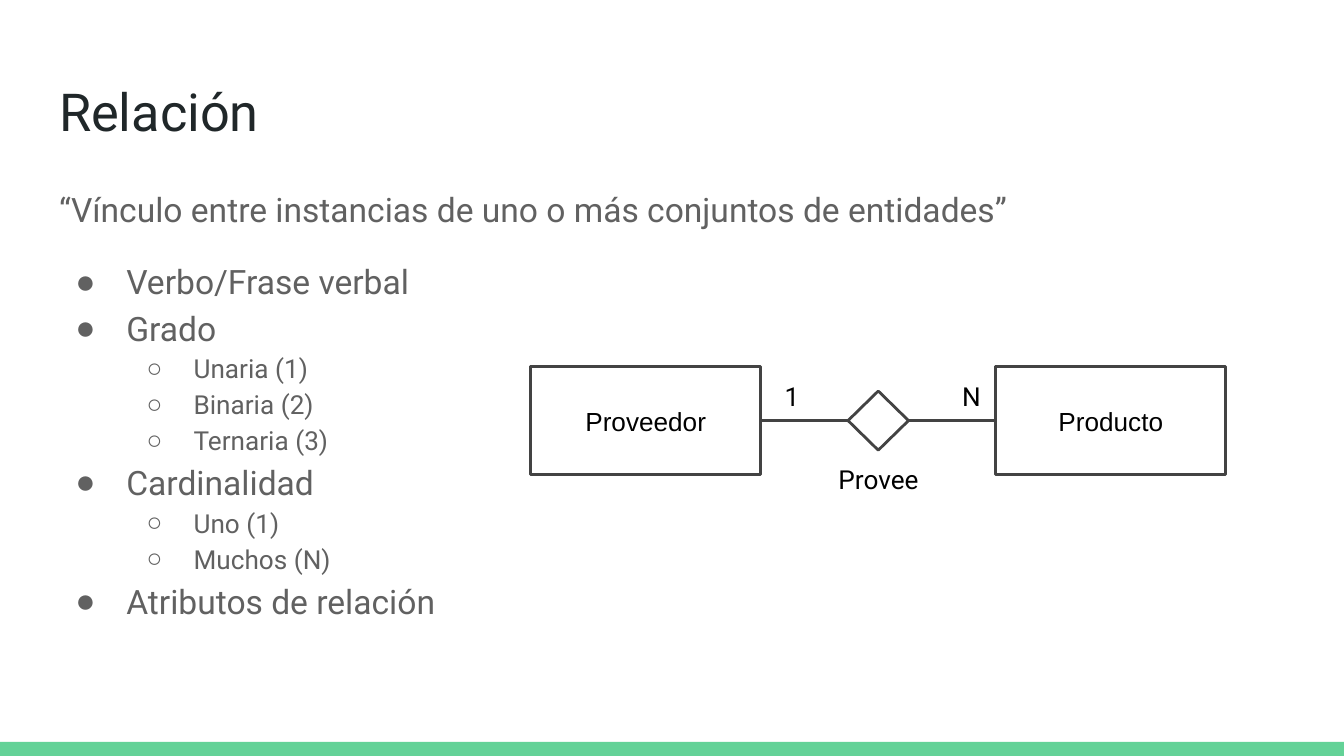
from dataclasses import dataclass

from lxml.etree import SubElement
from pptx import Presentation
from pptx.dml.color import RGBColor
from pptx.enum.shapes import MSO_CONNECTOR as CONN, MSO_SHAPE as SHAPE
from pptx.enum.text import MSO_ANCHOR as ANCHOR, MSO_AUTO_SIZE as AUTO, PP_ALIGN as ALIGN
from pptx.oxml.ns import qn
from pptx.util import Inches, Pt


@dataclass(frozen=True)
class Theme:
    """Fonts, type sizes and colours of the slide."""
    font: str = "Roboto"
    plain_font: str = "Arial"
    title_size: int = 28
    body_size: int = 18
    small_size: int = 14
    title: str = "202729"
    body: str = "616161"
    label: str = "000000"
    line: str = "434343"
    accent: str = "63D297"


THEME = Theme()
SLIDE_W, SLIDE_H = 10, 10 * 9 / 16
LEVELS = [("●", 0.5, -0.38, THEME.body_size), ("○", 1, -0.35, THEME.small_size)]
TOPICS = [
    ("Verbo/Frase verbal", 0),
    ("Grado", 0),
    ("Unaria (1)", 1),
    ("Binaria (2)", 1),
    ("Ternaria (3)", 1),
    ("Cardinalidad", 0),
    ("Uno (1)", 1),
    ("Muchos (N)", 1),
    ("Atributos de relación", 0),
]
BOX_TOP, BOX_W, BOX_H = 2.73, 1.71, 0.8
LEFT_BOX, RIGHT_BOX = 3.95, 7.41
DIAMOND_W, DIAMOND_H = 0.45, 0.44


def rgb(value):
    """Return a colour from its hexadecimal form."""
    return RGBColor.from_string(value)


def write(p, text, size=THEME.small_size, color=THEME.label, font=THEME.font,
          align=ALIGN.LEFT, spacing=1.0, after=0):
    """Fill a paragraph with one formatted run."""
    p.alignment, p.line_spacing = align, spacing
    p.space_before, p.space_after = Pt(0), Pt(after)
    r = p.add_run()
    r.text = text
    r.font.size, r.font.name = Pt(size), font
    r.font.color.rgb = rgb(color)


def set_frame(sp, anchor=ANCHOR.TOP):
    """Give a shape's text even insets, wrapping and an anchor."""
    tf = sp.text_frame
    tf.margin_left = tf.margin_right = tf.margin_top = tf.margin_bottom = Inches(0.1)
    tf.word_wrap, tf.auto_size, tf.vertical_anchor = True, AUTO.NONE, anchor
    return tf


def place(sp, left, top, width, height):
    """Move a placeholder and return its prepared text frame."""
    sp.left, sp.top = Inches(left), Inches(top)
    sp.width, sp.height = Inches(width), Inches(height)
    return set_frame(sp)


def set_bullet(p, char=None, margin=0, indent=0):
    """Set the indents and the bullet character, or no bullet."""
    pPr = p._p.get_or_add_pPr()
    pPr.set("marL", str(Inches(margin)))
    pPr.set("indent", str(Inches(indent)))
    if char is None:
        SubElement(pPr, qn("a:buNone"))
        return
    SubElement(SubElement(pPr, qn("a:buClr")), qn("a:srgbClr"), val=THEME.body)
    SubElement(pPr, qn("a:buFont"), typeface=THEME.plain_font)
    SubElement(pPr, qn("a:buChar"), char=char)


def add_list(tf, items):
    """Write a two-level bulleted list."""
    for i, (text, level) in enumerate(items):
        p = tf.paragraphs[0] if i == 0 else tf.add_paragraph()
        char, margin, indent, size = LEVELS[level]
        p.level = level
        write(p, text, size=size, color=THEME.body, spacing=1.15)
        set_bullet(p, char, margin, indent)


def add_shape(shapes, kind, left, top, width, height, text="", fill=None, line=THEME.line):
    """Add a filled or outlined shape with an optional centred text."""
    sp = shapes.add_shape(kind, Inches(left), Inches(top), Inches(width), Inches(height))
    sp.shadow.inherit = False
    if fill:
        sp.fill.solid()
        sp.fill.fore_color.rgb = rgb(fill)
    else:
        sp.fill.background()
    if line:
        sp.line.color.rgb, sp.line.width = rgb(line), Pt(1.5)
    else:
        sp.line.fill.background()
    if text:
        tf = set_frame(sp, ANCHOR.MIDDLE)
        write(tf.paragraphs[0], text, font=THEME.plain_font, align=ALIGN.CENTER)


def add_link(shapes, start, end, y):
    """Add a horizontal line between two positions."""
    s = shapes.add_connector(CONN.STRAIGHT, Inches(start), Inches(y), Inches(end), Inches(y))
    s.line.color.rgb, s.line.width = rgb(THEME.line), Pt(1.5)
    SubElement(s._element.spPr, qn("a:effectLst"))


def add_label(shapes, text, left, top):
    """Add a free label of the diagram."""
    sp = shapes.add_textbox(Inches(left), Inches(top), Inches(1.2), Inches(0.72))
    write(set_frame(sp).paragraphs[0], text)


def add_diagram(shapes):
    """Draw the two entities joined by their relationship."""
    mid_x = (LEFT_BOX + BOX_W + RIGHT_BOX) / 2
    mid_y = BOX_TOP + BOX_H / 2
    diamond_left = mid_x - DIAMOND_W / 2
    for text, left in (("Proveedor", LEFT_BOX), ("Producto", RIGHT_BOX)):
        add_shape(shapes, SHAPE.RECTANGLE, left, BOX_TOP, BOX_W, BOX_H, text)
    add_shape(shapes, SHAPE.DIAMOND, diamond_left, mid_y - DIAMOND_H / 2, DIAMOND_W, DIAMOND_H)
    add_link(shapes, diamond_left, LEFT_BOX + BOX_W, mid_y)
    add_link(shapes, diamond_left + DIAMOND_W, RIGHT_BOX, mid_y)
    add_label(shapes, "Provee", 6.14, 3.35)
    add_label(shapes, "1", 5.74, BOX_TOP)
    add_label(shapes, "N", 7.06, BOX_TOP)


def main():
    """Build and save the slide."""
    prs = Presentation()
    prs.slide_width, prs.slide_height = Inches(SLIDE_W), Inches(SLIDE_H)
    slide = prs.slides.add_slide(prs.slide_layouts.get_by_name("Two Content"))
    title, quote, topics = slide.placeholders
    add_shape(slide.shapes, SHAPE.RECTANGLE, 0, 5.52, SLIDE_W, SLIDE_H - 5.52,
              fill=THEME.accent, line=None)
    tf = place(title, 0.34, 0.49, 9.32, 0.63)
    write(tf.paragraphs[0], "Relación", size=THEME.title_size, color=THEME.title)
    p = place(quote, 0.34, 1.26, 9.32, 0.54).paragraphs[0]
    write(p, "“Vínculo entre instancias de uno o más conjuntos de entidades”",
          size=THEME.body_size, color=THEME.body, spacing=1.15, after=16)
    set_bullet(p)
    add_list(place(topics, 0.34, 1.8, 3.48, 3.27), TOPICS)
    add_diagram(slide.shapes.add_group_shape().shapes)
    prs.save("out.pptx")


if __name__ == "__main__":
    main()
